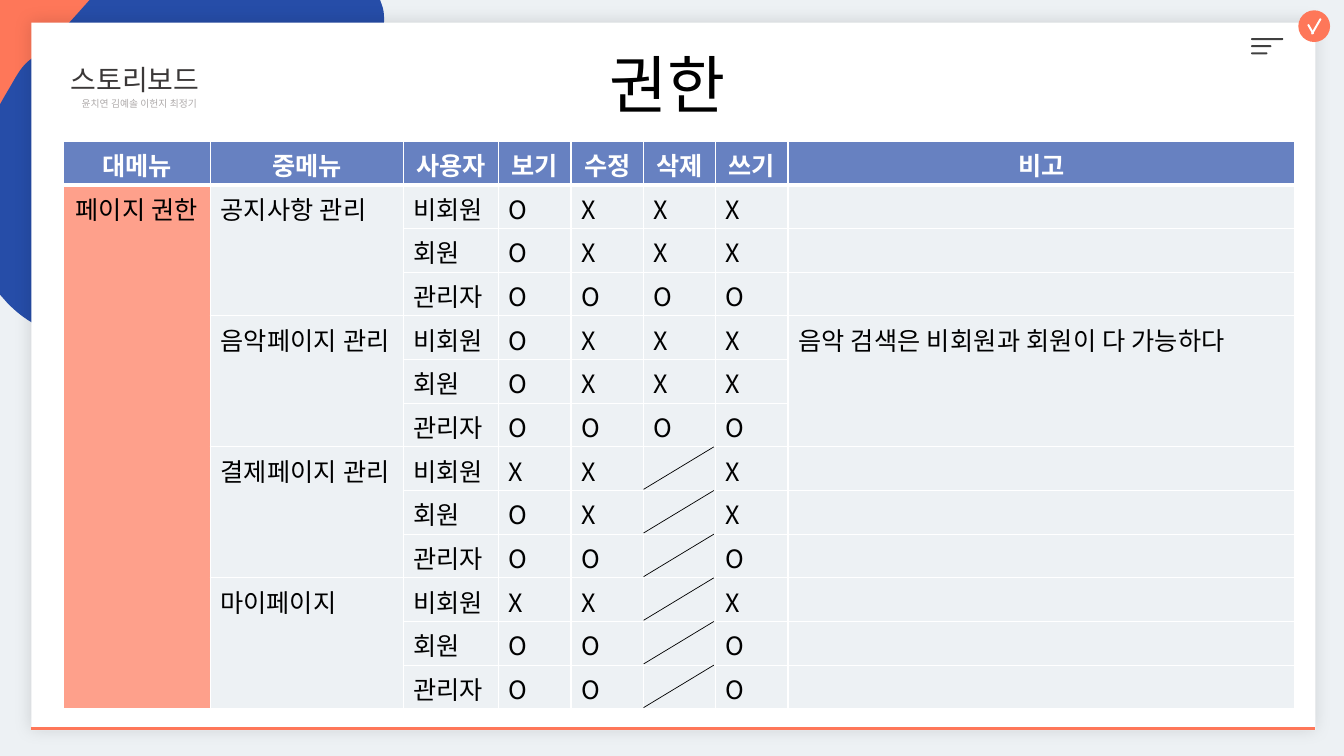
from dataclasses import dataclass

from lxml.etree import SubElement
from pptx import Presentation
from pptx.dml.color import RGBColor
from pptx.enum.shapes import MSO_CONNECTOR, MSO_SHAPE
from pptx.enum.text import MSO_ANCHOR, PP_ALIGN
from pptx.oxml.ns import qn
from pptx.util import Cm, Pt


@dataclass(frozen=True)
class Theme:
    font: str = "Noto Sans CJK KR"
    backdrop: str = "EDF1F4"
    orange: str = "FE7759"
    blue: str = "264DA8"
    white: str = "FFFFFF"
    black: str = "000000"
    menu_bar: str = "404040"
    brand: str = "3B3838"
    authors: str = "AFABAB"
    header: str = "6781C1"
    main_menu: str = "FEA08B"
    title_size: int = 45
    brand_size: int = 20
    table_size: int = 18
    authors_size: int = 7


theme = Theme()


def paint(shape, color):
    shape.shadow.inherit = False
    shape.fill.solid()
    shape.fill.fore_color.rgb = RGBColor.from_string(color)
    shape.line.fill.background()
    return shape


def style(paragraph, size, color, bold=False, align=PP_ALIGN.LEFT):
    paragraph.alignment = align
    for run in paragraph.runs:
        run.font.name = theme.font
        run.font.size = Pt(size)
        run.font.bold = bold
        run.font.color.rgb = RGBColor.from_string(color)
        SubElement(run.font._element, qn("a:ea"), typeface=theme.font)
        if " " in run.text:
            run.font._element.set("spc", str(size))


presentation = Presentation()
presentation.slide_width = Cm(33.87)
presentation.slide_height = Cm(19.05)
slide = presentation.slides.add_slide(presentation.slide_layouts[6])
slide.background.fill.solid()
slide.background.fill.fore_color.rgb = RGBColor.from_string(theme.backdrop)
shapes = slide.shapes

corner_blobs = [
    (theme.orange, (-0.03, 0), [
        (4.5, 0), (4.52, 0.08),
        (4.55, 0.15, 4.55, 0.2, 4.55, 0.28),
        (4.47, 1.4, 1.83, 3.84, 0.76, 4.6),
        (0.13, 5.08, 0.08, 5.13, 0, 5.08), (-0.03, 5.08)]),
    (theme.blue, (2.26, 0), [
        (9.58, 0), (9.65, 0.2),
        (9.68, 0.33, 9.68, 0.43, 9.68, 0.53),
        (9.58, 2.16, 5.61, 5.77, 4.06, 6.93),
        (2.51, 8.1, 3.73, 8.43, 2.13, 8.46),
        (1.14, 8.46, 0.58, 8.03, 0.2, 7.65), (-0.03, 7.39), (-0.03, 2.69),
        (0.1, 2.44, 0.23, 2.24, 0.33, 2.06),
        (0.69, 1.42, 0.79, 1.55, 1.12, 1.22),
        (1.42, 0.91, 1.63, 0.71, 2.08, 0.2)]),
]
for color, (start_x, start_y), segments in corner_blobs:
    builder = shapes.build_freeform(Cm(start_x), Cm(start_y))
    builder.add_line_segments([(Cm(s[-2]), Cm(s[-1])) for s in segments])
    blob = paint(builder.convert_to_shape(), color)
    edges = list(blob._element.iter(qn("a:lnTo")))
    for edge, segment in zip(edges, segments):
        if len(segment) == 6:
            edge_path = edge.getparent()
            curve = SubElement(edge_path, qn("a:cubicBezTo"))
            for x, y in zip(segment[::2], segment[1::2]):
                SubElement(curve, qn("a:pt"), x=str(Cm(x) - blob.left), y=str(Cm(y) - blob.top))
            edge_path.replace(edge, curve)

panel = paint(shapes.add_shape(
    MSO_SHAPE.RECTANGLE, Cm(0.79), Cm(0.57), Cm(32.36), Cm(17.83)), theme.white)
glow = SubElement(panel._element.spPr.find(qn("a:effectLst")), qn("a:outerShdw"),
                  blurRad=str(Pt(12)), dist="0", dir="0", algn="ctr", rotWithShape="0")
glow_color = SubElement(glow, qn("a:srgbClr"), val=theme.black)
SubElement(glow_color, qn("a:alpha"), val="12000")

heading = panel.text_frame
heading.text = "스토리보드\n윤치연 김예솔 이헌지 최정기"
heading.word_wrap = True
heading.vertical_anchor = MSO_ANCHOR.TOP
heading.margin_top = Cm(1)
heading_styles = [(theme.brand_size, theme.brand, 0.74), (theme.authors_size, theme.authors, 1.02)]
for paragraph, (size, color, indent) in zip(heading.paragraphs, heading_styles):
    style(paragraph, size, color)
    paragraph._p.get_or_add_pPr().set("marL", str(Cm(indent)))
heading.paragraphs[1].space_before = Pt(1)

accents = [
    (MSO_SHAPE.ROUNDED_RECTANGLE, 31.53, 0.96, 0.81, 0.05, 0, theme.menu_bar),
    (MSO_SHAPE.ROUNDED_RECTANGLE, 31.53, 1.14, 0.51, 0.05, 0, theme.menu_bar),
    (MSO_SHAPE.ROUNDED_RECTANGLE, 31.53, 1.32, 0.41, 0.05, 0, theme.menu_bar),
    (MSO_SHAPE.OVAL, 32.72, 0.26, 0.8, 0.8, 0, theme.orange),
    (MSO_SHAPE.ROUNDED_RECTANGLE, 32.94, 0.64, 0.46, 0.05, 120, theme.white),
    (MSO_SHAPE.ROUNDED_RECTANGLE, 32.89, 0.71, 0.28, 0.05, 60, theme.white),
]
for kind, left, top, width, height, rotation, color in accents:
    accent = paint(shapes.add_shape(kind, Cm(left), Cm(top), Cm(width), Cm(height)), color)
    accent.rotation = rotation
    if kind == MSO_SHAPE.ROUNDED_RECTANGLE:
        accent.adjustments[0] = 0.5

title = shapes.add_textbox(Cm(15.04), Cm(1.02), Cm(3.58), Cm(2.16)).text_frame
title.text = "권한"
title.word_wrap = False
title.vertical_anchor = MSO_ANCHOR.MIDDLE
title.margin_top = title.margin_bottom = 0
style(title.paragraphs[0], theme.title_size, theme.black, align=PP_ALIGN.CENTER)

headers = ["대메뉴", "중메뉴", "사용자", "보기", "수정", "삭제", "쓰기", "비고"]
users = ["비회원", "회원", "관리자"]
permissions = {
    "공지사항 관리": ["OXXX", "OXXX", "OOOO"],
    "음악페이지 관리": ["OXXX", "OXXX", "OOOO"],
    "결제페이지 관리": ["XX/X", "OX/X", "OO/O"],
    "마이페이지": ["XX/X", "OO/O", "OO/O"],
}
notes = {"음악페이지 관리": "음악 검색은 비회원과 회원이 다 가능하다"}

rows = [headers]
for menu, grants in permissions.items():
    for user, marks in zip(users, grants):
        first = user == users[0]
        rows.append(["페이지 권한" if len(rows) == 1 else "", menu if first else "", user,
                     *marks, notes.get(menu, "") if first else ""])

table_left, table_top, row_height = 1.6, 3.56, 1.1
column_widths = [3.7, 4.87, 2.39, 1.83, 1.83, 1.82, 1.82, 12.77]
table = shapes.add_table(len(rows), len(headers), Cm(table_left), Cm(table_top),
                         Cm(sum(column_widths)), Cm(row_height * len(rows))).table
table.horz_banding = False
for column, width in zip(table.columns, column_widths):
    column.width = Cm(width)

slashes = []
for r, row in enumerate(rows):
    table.rows[r].height = Cm(row_height)
    for c, entry in enumerate(row):
        cell = table.cell(r, c)
        cell.margin_top, cell.margin_bottom = Cm(0.13), 0
        if r == 0:
            for side, weight in [("L", 1), ("R", 1), ("T", 1), ("B", 3)]:
                border = SubElement(cell._tc.get_or_add_tcPr(), qn("a:ln" + side),
                                    w=str(Pt(weight)))
                border_fill = SubElement(border, qn("a:solidFill"))
                SubElement(border_fill, qn("a:srgbClr"), val=theme.white)
        cell.fill.solid()
        fill = theme.header if r == 0 else theme.main_menu if c == 0 else theme.backdrop
        cell.fill.fore_color.rgb = RGBColor.from_string(fill)
        if entry == "/":
            slashes.append((table_left + sum(column_widths[:c]), table_top + r * row_height,
                            column_widths[c]))
        elif entry:
            cell.text_frame.text = entry
            style(cell.text_frame.paragraphs[0], theme.table_size,
                  theme.white if r == 0 else theme.black, bold=r == 0,
                  align=PP_ALIGN.CENTER if r == 0 or c == 0 else PP_ALIGN.LEFT)

table.cell(1, 0).merge(table.cell(len(rows) - 1, 0))
for position, menu in enumerate(permissions):
    top_row = 1 + position * len(users)
    for c in [1, 7] if menu in notes else [1]:
        table.cell(top_row, c).merge(table.cell(top_row + len(users) - 1, c))

rules = [(0.79, 18.36, 33.15, 18.36, theme.orange, 2)]
rules += [(x + width - 0.05, y, x, y + 1.07, theme.black, 0.5) for x, y, width in slashes]
for x1, y1, x2, y2, color, weight in rules:
    rule = shapes.add_connector(MSO_CONNECTOR.STRAIGHT, Cm(x1), Cm(y1), Cm(x2), Cm(y2))
    rule.line.color.rgb = RGBColor.from_string(color)
    rule.line.width = Pt(weight)
    SubElement(rule._element.spPr, qn("a:effectLst"))

presentation.save("out.pptx")
